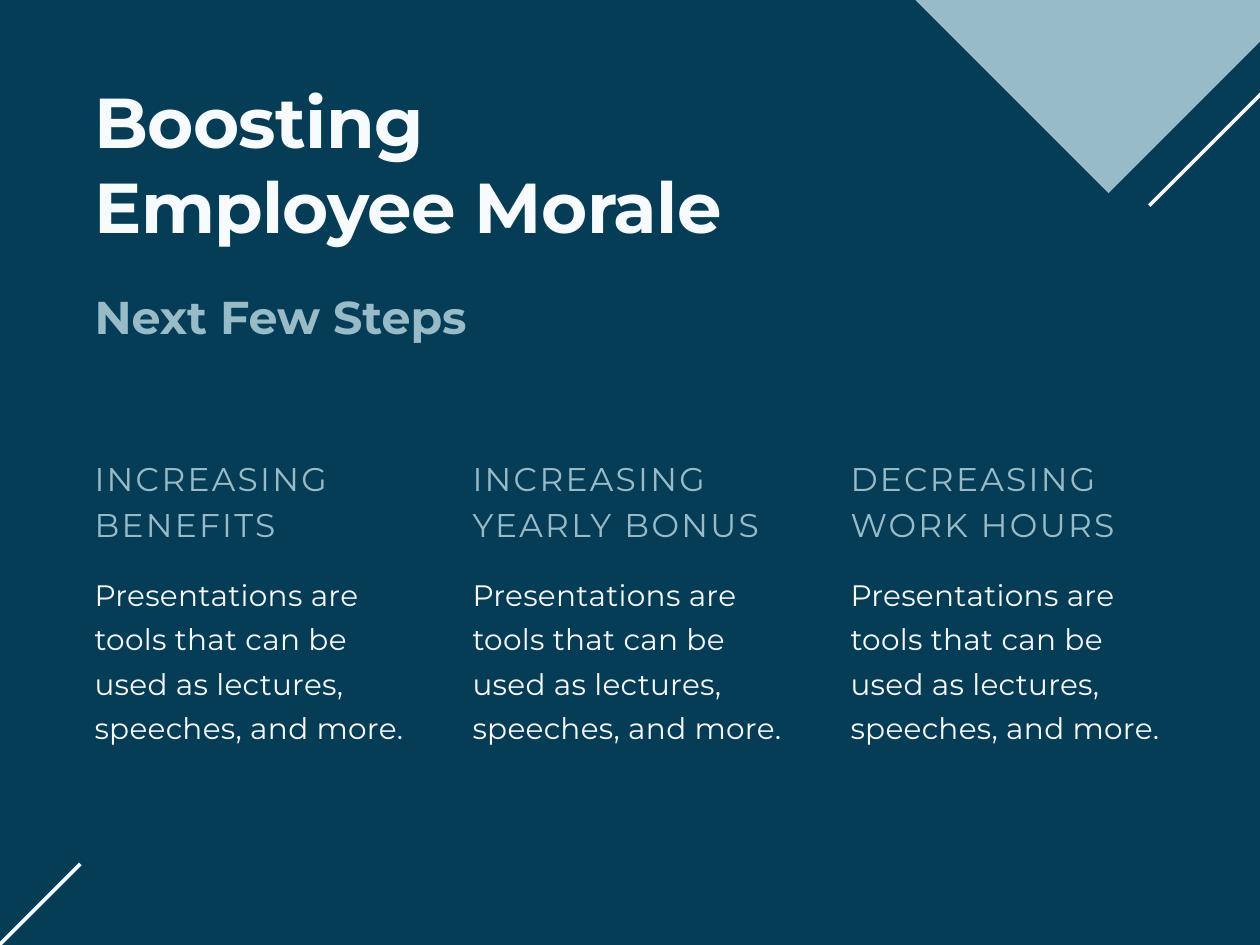
from pptx import Presentation
from pptx.dml.color import RGBColor
from pptx.enum.shapes import MSO_SHAPE
from pptx.enum.text import MSO_ANCHOR, MSO_AUTO_SIZE, PP_ALIGN
from pptx.util import Pt

NAVY = RGBColor(0x05, 0x3D, 0x57)
MIST = RGBColor(0x97, 0xBC, 0xC7)
WHITE = RGBColor(0xF8, 0xFB, 0xFD)

MARGIN = 57.6
COLUMN_STEP = 230.4
COLUMN_WIDTH = 192
HEADING_WIDTH = 444
BODY = "Presentations are tools that can be used as lectures, speeches, and more."
STEPS = [
    ["INCREASING", "BENEFITS"],
    ["INCREASING", "YEARLY BONUS"],
    ["DECREASING", "WORK HOURS"],
]


class Deck:
    """Holds the font and the current slide, and draws elements on it."""

    font = "Montserrat"

    def __init__(self, slide):
        self.s = slide

    def background(self, color):
        fill = self.s.background.fill
        fill.solid()
        fill.fore_color.rgb = color

    def diagonal(self, x, y, w, h, color):
        """Add a rectangle turned 45 degrees to the left."""
        sp = self.s.shapes.add_shape(MSO_SHAPE.RECTANGLE, Pt(x), Pt(y), Pt(w), Pt(h))
        sp.rotation = 315
        sp.shadow.inherit = False
        sp.fill.solid()
        sp.fill.fore_color.rgb = color
        sp.line.fill.background()

    def title(self, *args, **style):
        self.set_text(self.s.shapes.title, *args, **style)

    def text(self, *args, **style):
        self.set_text(self.s.shapes.add_textbox(0, 0, 0, 0), *args, **style)

    def set_text(self, sp, x, y, w, h, lines, size, leading, color, bold=False, tracking=0):
        """Place a text shape and fill it, one paragraph per line; tracking is in points."""
        sp.left, sp.top, sp.width, sp.height = Pt(x), Pt(y), Pt(w), Pt(h)
        tf = sp.text_frame
        tf.margin_left = tf.margin_top = tf.margin_right = tf.margin_bottom = 0
        tf.word_wrap = True
        tf.auto_size = MSO_AUTO_SIZE.NONE
        tf.vertical_anchor = MSO_ANCHOR.TOP
        tf.text = "\n".join(lines)
        for p in tf.paragraphs:
            p.alignment = PP_ALIGN.LEFT
            p.line_spacing = Pt(leading)
            font = p.font
            font.name, font.size, font.bold = self.font, Pt(size), bold
            font.color.rgb = color
            font._rPr.set("spc", str(round(tracking * 100)))


def main():
    prs = Presentation()
    prs.slide_width, prs.slide_height = Pt(768), Pt(576)
    deck = Deck(prs.slides.add_slide(prs.slide_layouts[5]))

    deck.background(NAVY)
    deck.diagonal(535.7, -220.3, 280, 280, MIST)
    deck.diagonal(659.5, 25.2, 280, 2.2, WHITE)
    deck.diagonal(-38.2, 561.6, 102.2, 2.2, WHITE)

    deck.title(MARGIN, 47.5, HEADING_WIDTH, 102.2, ["Boosting", "Employee Morale"],
               43, 51.6, WHITE, bold=True, tracking=-0.4)
    deck.text(MARGIN, 175.7, HEADING_WIDTH, 33.1, ["Next Few Steps"],
              28, 33.6, MIST, bold=True)

    for i, heading in enumerate(STEPS):
        x = MARGIN + i * COLUMN_STEP
        deck.text(x, 275.8, COLUMN_WIDTH, 54, heading, 20, 28, MIST, tracking=1.4)
        deck.text(x, 346.3, COLUMN_WIDTH, 105.8, [BODY], 18, 27, WHITE, tracking=0.2)

    prs.save("out.pptx")


if __name__ == "__main__":
    main()
